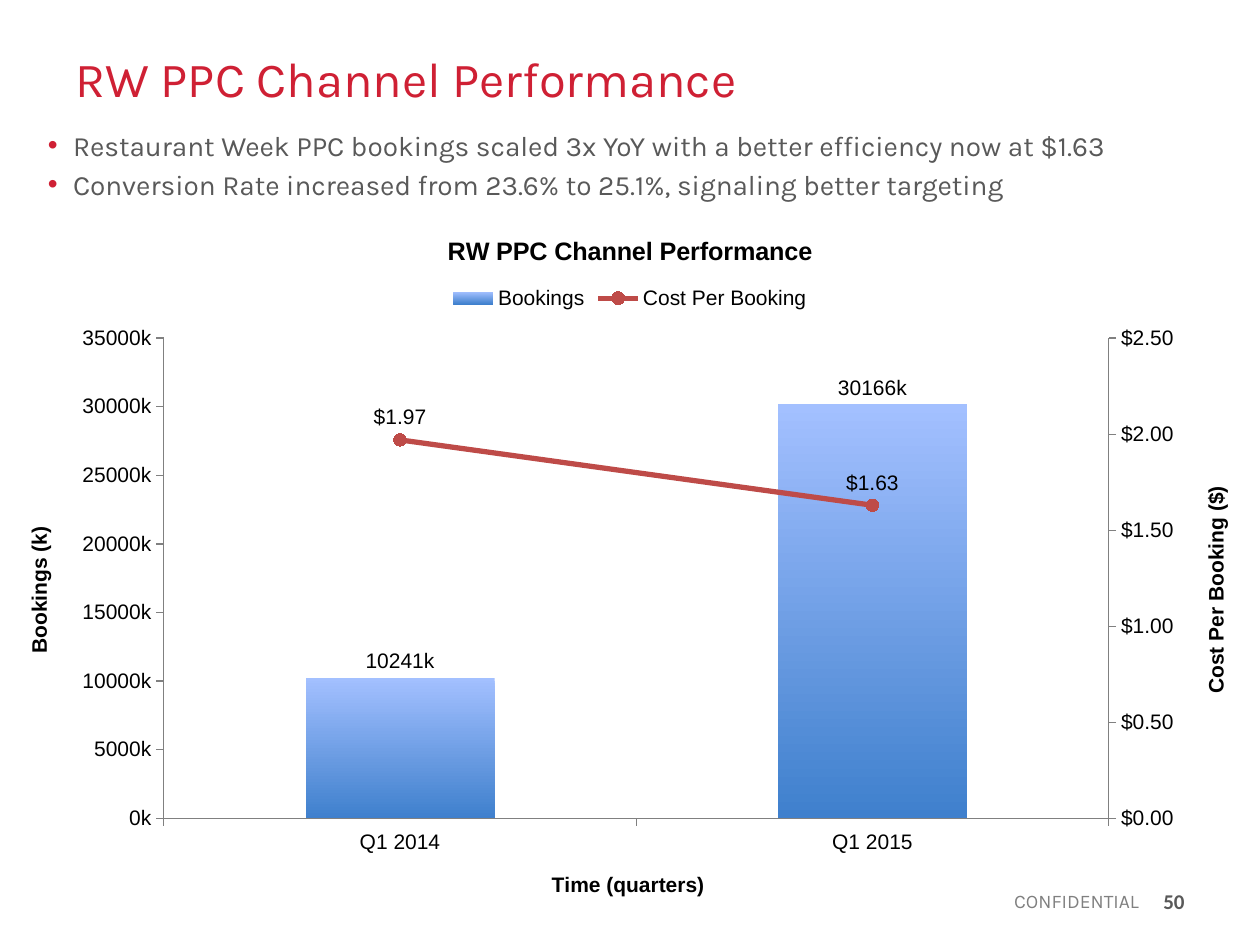
from copy import deepcopy

from pptx import Presentation
from pptx.chart.data import CategoryChartData
from pptx.dml.color import RGBColor
from pptx.enum.chart import XL_CHART_TYPE, XL_LABEL_POSITION, XL_LEGEND_POSITION, XL_MARKER_STYLE, XL_TICK_MARK
from pptx.enum.text import MSO_ANCHOR, MSO_AUTO_SIZE, PP_ALIGN
from pptx.oxml import parse_xml
from pptx.oxml.ns import nsdecls, qn
from pptx.util import Inches, Pt

COLUMNS, LINE = XL_CHART_TYPE.COLUMN_CLUSTERED, "lineChart"
ABOVE, OUTSIDE = XL_LABEL_POSITION.ABOVE, XL_LABEL_POSITION.OUTSIDE_END
LEFT, RIGHT = PP_ALIGN.LEFT, PP_ALIGN.RIGHT
TOP, MIDDLE = MSO_ANCHOR.TOP, MSO_ANCHOR.MIDDLE

RED = RGBColor(0xCF, 0x20, 0x34)
DARK = RGBColor(0x59, 0x59, 0x59)
GRAY = RGBColor(0x80, 0x80, 0x80)
BLACK = RGBColor(0, 0, 0)
BAR_TOP = RGBColor(0xA3, 0xC0, 0xFF)
BAR_BOTTOM = RGBColor(0x3F, 0x80, 0xCD)
LINE_RED = RGBColor(0xBE, 0x4B, 0x48)
MARKER_RED = RGBColor(0xC0, 0x50, 0x4D)

TITLE = "RW PPC Channel Performance"
BULLETS = [
    "Restaurant Week PPC bookings scaled 3x YoY with a better efficiency now at $1.63",
    "Conversion Rate increased from 23.6% to 25.1%, signaling better targeting",
]
QUARTERS = ["Q1 2014", "Q1 2015"]
SERIES = {"Bookings": [10241, 30166], "Cost Per Booking": [1.97, 1.63]}
TIME_AXIS, BOOKINGS_AXIS, COST_AXIS = "Time (quarters)", "Bookings (k)", "Cost Per Booking ($)"
THOUSANDS, DOLLARS = "0\\k", "[$$-409]#,##0.00"
PLOT_SHARES = {"x": 0.13, "y": 0.18, "w": 0.75, "h": 0.67}

TITLE_FONT = {"name": "Karla", "size": Pt(28), "color": RED}
BODY_FONT = {"name": "Karla", "size": Pt(16), "color": DARK}
FOOTER_FONT = {"name": "Karla", "size": Pt(11), "color": GRAY}
NUMBER_FONT = {"name": "Calibri", "size": Pt(12), "color": DARK, "bold": True}
CHART_FONT = {"name": "Arial", "size": Pt(12), "color": BLACK}
AXIS_FONT = {**CHART_FONT, "bold": True}
HEADING_FONT = {**AXIS_FONT, "size": Pt(14.4)}


def set_font(font, style):
    for key, value in style.items():
        if key == "color":
            font.color.rgb = value
        else:
            setattr(font, key, value)


def write(sp, box, lines, style, align=LEFT, anchor=MIDDLE, bullet=None):
    sp.left, sp.top, sp.width, sp.height = map(Inches, box)
    tf = sp.text_frame
    tf.text = "\n".join(lines)
    tf.word_wrap, tf.auto_size, tf.vertical_anchor = True, MSO_AUTO_SIZE.NONE, anchor
    for i, p in enumerate(tf.paragraphs):
        p.alignment = align
        p.space_before = Pt(3.2 if i else 0)
        if bullet:
            pPr = p._p.get_or_add_pPr()
            pPr.set("marL", str(Inches(0.2)))
            pPr.set("indent", str(-Inches(0.2)))
            for xml in (f'<a:buClr {nsdecls("a")}><a:srgbClr val="{RED}"/></a:buClr>',
                        f'<a:buFont {nsdecls("a")} typeface="Arial"/>',
                        f'<a:buChar {nsdecls("a")} char="{bullet}"/>'):
                pPr.append(parse_xml(xml))
        set_font(p.runs[0].font, style)


def set_title(owner, text, style):
    tf = (owner.chart_title if hasattr(owner, "chart_title") else owner.axis_title).text_frame
    tf.text = text
    set_font(tf.paragraphs[0].runs[0].font, style)


def style_axis(axis, title):
    axis.has_major_gridlines = False
    axis.major_tick_mark, axis.minor_tick_mark = XL_TICK_MARK.OUTSIDE, XL_TICK_MARK.NONE
    axis.format.line.color.rgb = GRAY
    axis.format.line.width = Pt(0.75)
    set_title(axis, title, AXIS_FONT)


def label(series, number_format, position):
    labels = series.data_labels
    labels.show_value = True
    labels.number_format, labels.number_format_is_linked = number_format, False
    labels.position = position
    set_font(labels.font, CHART_FONT)


def set_values(element, values):
    for tag, value in values.items():
        next(element.iter(qn(f"c:{tag}"))).set("val", value)


def drop(parent, tag):
    for child in parent.findall(qn(tag)):
        parent.remove(child)


def move_to_right_axis(chart):
    plot_area = chart._chartSpace.chart.plotArea
    cat, val = plot_area.find(qn("c:catAx")), plot_area.find(qn("c:valAx"))
    bars = plot_area.find(qn("c:barChart"))
    ser = bars.findall(qn("c:ser"))[1]
    drop(ser, "c:invertIfNegative")
    lines = parse_xml(
        f'<c:{LINE} {nsdecls("c")}><c:grouping val="standard"/><c:varyColors val="0"/>'
        f'<c:marker val="1"/><c:axId val="501"/><c:axId val="502"/></c:{LINE}>')
    lines.insert(2, ser)
    bars.addnext(lines)
    right, hidden = deepcopy(val), deepcopy(cat)
    set_values(right, {"axId": "502", "crossAx": "501", "axPos": "r", "crosses": "max",
                       "max": "2.5", "majorUnit": "0.5"})
    right.find(qn("c:numFmt")).set("formatCode", DOLLARS)
    next(right.iter(qn("a:t"))).text = COST_AXIS
    set_values(hidden, {"axId": "501", "crossAx": "502", "delete": "1"})
    drop(hidden, "c:title")
    val.addnext(right)
    right.addnext(hidden)
    drop(plot_area, "c:layout")
    shares = "".join(f'<c:{k} val="{v}"/>' for k, v in PLOT_SHARES.items())
    plot_area.insert(0, parse_xml(
        f'<c:layout {nsdecls("c")}><c:manualLayout><c:layoutTarget val="inner"/>'
        f'<c:xMode val="edge"/><c:yMode val="edge"/>{shares}</c:manualLayout></c:layout>'))


def add_bookings_chart(slide):
    data = CategoryChartData()
    data.categories = QUARTERS
    for name, values in SERIES.items():
        data.add_series(name, values)
    box = map(Inches, (0, 1.66, 10, 5.69))
    chart = slide.shapes.add_chart(COLUMNS, *box, data).chart
    set_font(chart.font, CHART_FONT)
    set_title(chart, TITLE, HEADING_FONT)
    chart.has_legend = True
    chart.legend.position = XL_LEGEND_POSITION.TOP
    chart.legend.include_in_layout = False
    style_axis(chart.category_axis, TIME_AXIS)
    axis = chart.value_axis
    style_axis(axis, BOOKINGS_AXIS)
    axis.minimum_scale, axis.maximum_scale, axis.major_unit = 0, 35000, 5000
    axis.tick_labels.number_format = THOUSANDS
    axis.tick_labels.number_format_is_linked = False
    move_to_right_axis(chart)

    columns, lines = chart.plots
    columns.gap_width, columns.vary_by_categories = 150, False
    bookings, cost = columns.series[0], lines.series[0]
    fill = bookings.format.fill
    fill.gradient()
    fill.gradient_angle = 270
    for stop, color in zip(fill.gradient_stops, (BAR_TOP, BAR_BOTTOM)):
        stop.color.rgb = color
    label(bookings, THOUSANDS, OUTSIDE)

    cost.smooth = False
    cost.format.line.color.rgb = LINE_RED
    cost.format.line.width = Pt(3)
    marker = cost.marker
    marker.style, marker.size = XL_MARKER_STYLE.CIRCLE, 7
    marker.format.fill.solid()
    marker.format.fill.fore_color.rgb = MARKER_RED
    marker.format.line.color.rgb = LINE_RED
    label(cost, DOLLARS, ABOVE)


def main():
    prs = Presentation()
    prs.slide_width, prs.slide_height = Inches(10), Inches(7.5)
    slide = prs.slides.add_slide(prs.slide_layouts[1])
    title, body = slide.placeholders
    write(title, (0.5, 0.3, 9.2, 0.64), [TITLE], TITLE_FONT)
    write(body, (0.28, 0.95, 9.72, 0.71), BULLETS, BODY_FONT, bullet="•")
    add_bookings_chart(slide)
    for text, box, style, anchor in (
        ("CONFIDENTIAL", (7.56, 7.01, 1.58, 0.3), FOOTER_FONT, TOP),
        ("50", (9.07, 6.95, 0.43, 0.4), NUMBER_FONT, MIDDLE),
    ):
        sp = slide.shapes.add_textbox(*map(Inches, box))
        write(sp, box, [text], style, RIGHT, anchor)
    prs.save("out.pptx")


if __name__ == "__main__":
    main()
